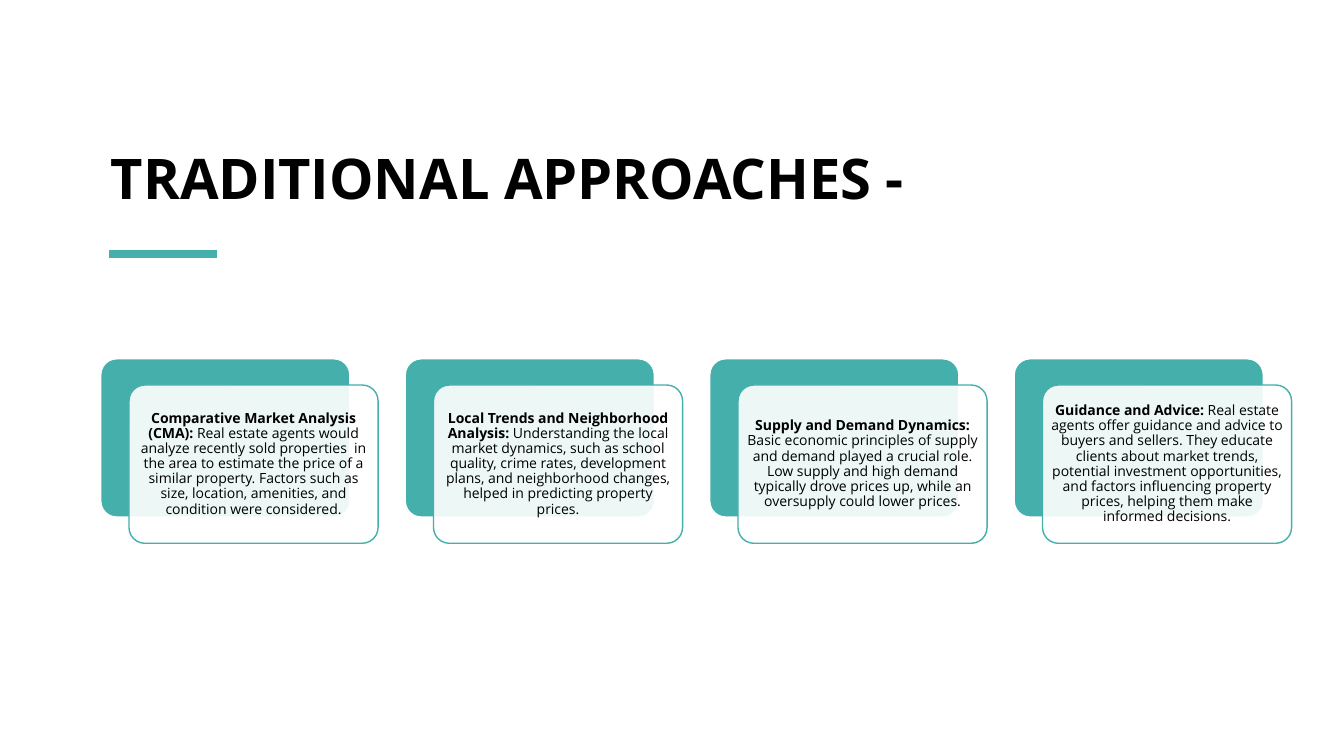
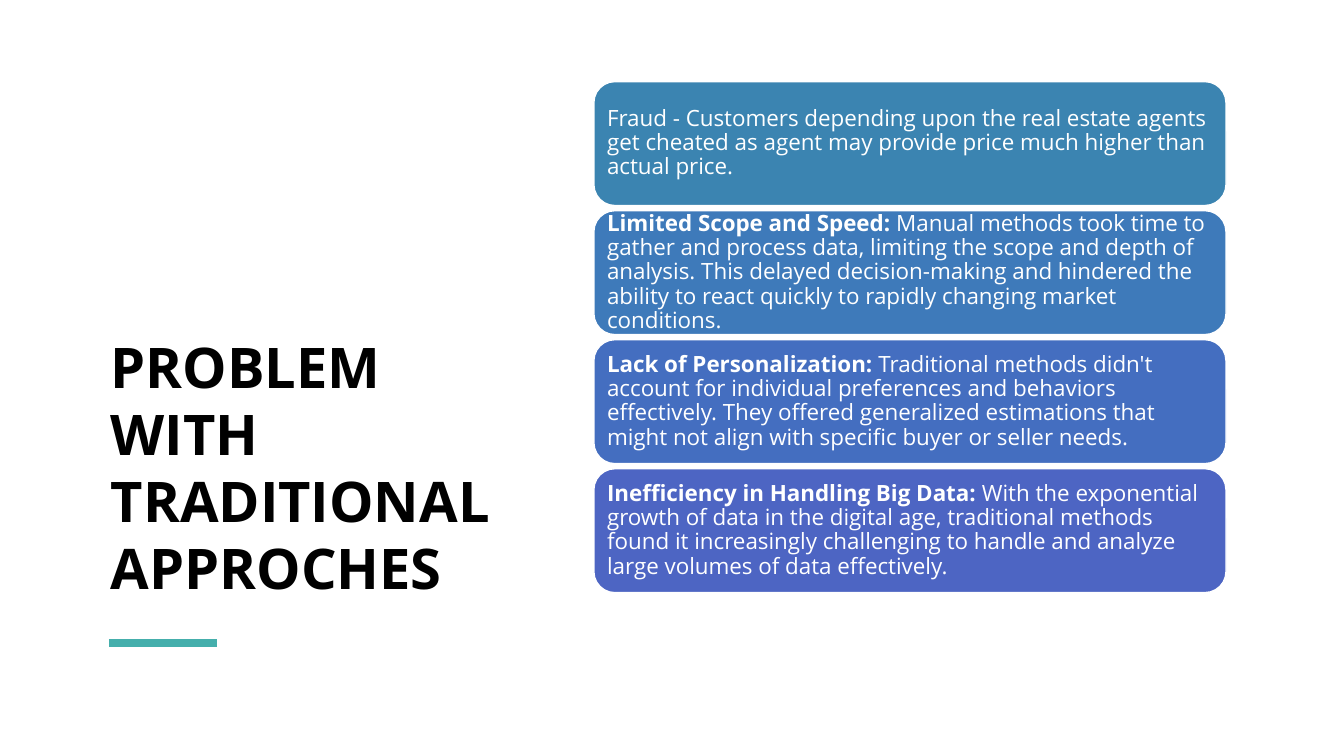
from dataclasses import dataclass
from lxml.etree import SubElement
from pptx import Presentation
from pptx.dml.color import RGBColor
from pptx.enum.shapes import MSO_CONNECTOR, MSO_SHAPE
from pptx.enum.text import MSO_ANCHOR, PP_ALIGN
from pptx.oxml.ns import qn
from pptx.util import Pt

PX = 9144  # EMU per px, 100 px to the inch


@dataclass(frozen=True)
class Theme:
    font: str = "Open Sans"
    ink: str = "000000"
    paper: str = "FFFFFF"
    accent: str = "45AFAC"
    bars: tuple = ("3B84B1", "3E7ABA", "446EC0", "4D65C3")
    title_size: int = 40
    card_size: int = 10
    bar_size: int = 16
    outline: int = 1
    rule: int = 6


T = Theme()


def write(sp, runs, size, color, inset, **formats):
    """Fill a shape with one paragraph of (text, bold) runs."""
    tf = sp.text_frame
    p = tf.paragraphs[0]
    x, y = (v * PX for v in inset)
    frame = dict(word_wrap=True, margin_left=x, margin_right=x,
                 margin_top=y, margin_bottom=y,
                 vertical_anchor=formats.pop("anchor", MSO_ANCHOR.MIDDLE))
    for target, values in ((tf, frame), (p, formats)):
        for name, value in values.items():
            setattr(target, name, value)
    for text, bold in runs:
        r = p.add_run()
        r.text = text
        for name, value in dict(name=T.font, size=Pt(size), bold=bold).items():
            setattr(r.font, name, value)
        r.font.color.rgb = RGBColor.from_string(color)


def add_box(s, x, y, w, h, fill, line, corner):
    """Add a rounded box with a thin outline."""
    sp = s.shapes.add_shape(MSO_SHAPE.ROUNDED_RECTANGLE, x * PX, y * PX, w * PX, h * PX)
    sp.adjustments[0] = corner
    sp.shadow.inherit = False
    sp.fill.solid()
    sp.fill.fore_color.rgb = RGBColor.from_string(fill)
    sp.line.color.rgb = RGBColor.from_string(line)
    sp.line.width = Pt(T.outline)
    return sp


prs = Presentation()
prs.slide_width, prs.slide_height = 1333 * PX, 750 * PX

# Titles with the accent rule below: text, top, width, height, rule y
titles = [
    ("TRADITIONAL APPROACHES -", 62, 1138, 152, 252),
    ("PROBLEM WITH TRADITIONAL APPROCHES", 100, 418, 501, 638),
]
slides = []
for text, y, w, h, rule_y in titles:
    s = prs.slides.add_slide(prs.slide_layouts[6])
    sp = s.shapes.add_textbox(100 * PX, y * PX, w * PX, h * PX)
    write(sp, [(text, True)], T.title_size, T.ink, (10, 5),
          anchor=MSO_ANCHOR.BOTTOM, alignment=PP_ALIGN.LEFT)
    rule = s.shapes.add_connector(MSO_CONNECTOR.STRAIGHT,
                                  108 * PX, rule_y * PX, 215 * PX, rule_y * PX)
    rule.line.color.rgb = RGBColor.from_string(T.accent)
    rule.line.width = Pt(T.rule)
    SubElement(rule._element.spPr, qn("a:effectLst"))
    slides.append(s)
approaches, problems = slides

# Approaches: a translucent card laid over each accent panel
cards = [
    ("Comparative Market Analysis (CMA):",
     " Real estate agents would analyze recently sold properties  in the area to "
     "estimate the price of a similar property. Factors such as size, location, "
     "amenities, and condition were considered."),
    ("Local Trends and Neighborhood Analysis:",
     " Understanding the local market dynamics, such as school quality, crime rates, "
     "development plans, and neighborhood changes, helped in predicting property prices."),
    ("Supply and Demand Dynamics:",
     " Basic economic principles of supply and demand played a crucial role. Low supply "
     "and high demand typically drove prices up, while an oversupply could lower prices."),
    ("Guidance and Advice:",
     " Real estate agents offer guidance and advice to buyers and sellers. They educate "
     "clients about market trends, potential investment opportunities, and factors "
     "influencing property prices, helping them make informed decisions."),
]
for i, (lead, body) in enumerate(cards):
    x = 100 + 302 * i
    add_box(approaches, x, 356, 247, 157, T.accent, T.paper, 0.1)
    card = add_box(approaches, x + 28, 382, 247, 157, T.paper, T.accent, 0.1)
    color = card._element.spPr.find(qn("a:solidFill"))[0]
    SubElement(color, qn("a:alpha"), val="90000")
    write(card, [(lead, True), (body, False)], T.card_size, T.ink, (4, 4),
          alignment=PP_ALIGN.CENTER, line_spacing=0.9)

# Problems: a stack of bars
bars = [
    [("Fraud - Customers depending upon the real estate agents get cheated as agent may "
      "provide price much higher than actual price.", False)],
    [("Limited Scope and Speed: ", True),
     ("Manual methods took time to gather and process data, limiting the scope and depth "
      "of analysis. This delayed decision-making and hindered the ability to react "
      "quickly to rapidly changing market conditions.", False)],
    [("Lack of Personalization:", True),
     (" Traditional methods didn't account for individual preferences and behaviors "
      "effectively. They offered generalized estimations that might not align with "
      "specific buyer or seller needs.", False)],
    [("Inefficiency in Handling Big Data:", True),
     (" With the exponential growth of data in the digital age, traditional methods found "
      "it increasingly challenging to handle and analyze large volumes of data "
      "effectively.", False)],
]
for i, (runs, fill) in enumerate(zip(bars, T.bars)):
    bar = add_box(problems, 589, 81 + 128 * i, 627, 123, fill, T.paper, 0.17)
    write(bar, runs, T.bar_size, T.paper, (7, 7),
          alignment=PP_ALIGN.LEFT, line_spacing=0.9)

prs.save("out.pptx")
